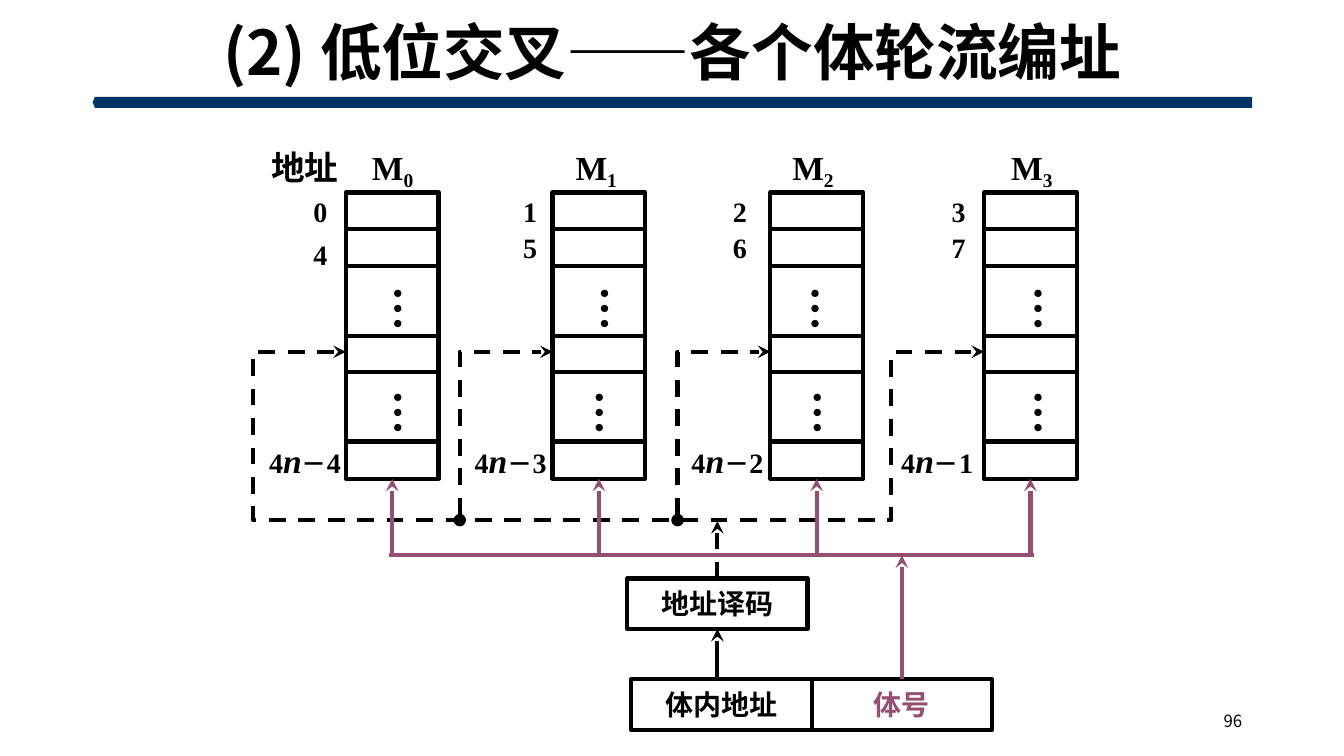
from dataclasses import dataclass

from pptx import Presentation, util as u
from pptx.dml.color import RGBColor
from pptx.enum import dml, shapes, text
from pptx.oxml.ns import qn
from pptx.oxml.xmlchemy import OxmlElement

Inches = u.Inches


@dataclass(frozen=True)
class Theme:
    ink: RGBColor = RGBColor.from_string("000000")
    rule: RGBColor = RGBColor.from_string("003366")
    accent: RGBColor = RGBColor.from_string("954F72")
    serif: str = "Times New Roman"
    sans: str = "Noto Sans CJK SC"
    title: int = 44
    dots: int = 32
    heading: int = 24
    label: int = 20
    minus: int = 18
    number: int = 12
    line: int = 3


@dataclass(frozen=True)
class Bank:
    """One memory module: its left edge and where its labels start from it."""
    number: int
    left: float
    name: float
    address: float
    last: float
    second_row: float
    dots: tuple


THEME = Theme()
BANKS = (
    Bank(0, 3.43, 0.16, -0.42, -0.86, 0.40, (0.25, 0.25)),
    Bank(1, 5.48, 0.13, -0.39, -0.87, 0.33, (0.25, 0.20)),
    Bank(2, 7.64, 0.12, -0.47, -0.88, 0.33, (0.18, 0.20)),
    Bank(3, 9.76, 0.17, -0.42, -0.92, 0.33, (0.27, 0.27)),
)
BANK_TOP, BANK_WIDTH = 1.91, 0.92
ROW_EDGES = (0, 0.36, 0.73, 1.42, 1.78, 2.47, 2.84)
SELECT_Y, SELECT_BUS_Y, BANK_BUS_Y = 3.49, 5.16, 5.51


def style_run(span, size, font=THEME.serif, color=THEME.ink, bold=True):
    span.font.size, span.font.bold = u.Pt(size), bold
    span.font.name, span.font.color.rgb = font, color
    east_asian = OxmlElement("a:ea")
    east_asian.set("typeface", THEME.sans)
    span._r.get_or_add_rPr().find(qn("a:latin")).addnext(east_asian)


def add_label(page, box, words, size, wrap=False, **look):
    """Add a text box; words is a string or a list of (string, size) runs."""
    label = page.shapes.add_textbox(*map(Inches, box))
    label.text_frame.word_wrap = wrap
    para = label.text_frame.paragraphs[0]
    for words_part, part_size in [(words, size)] if isinstance(words, str) else words:
        span = para.add_run()
        span.text = words_part
        style_run(span, part_size, **look)
    return label


def style_line(shape, color=THEME.ink, dashed=False, head=None, tail=None):
    shape.line.color.rgb, shape.line.width = color, u.Pt(THEME.line)
    if dashed:
        shape.line.dash_style = dml.MSO_LINE.DASH
    for tag, kind in (("a:headEnd", head), ("a:tailEnd", tail)):
        if kind:
            end = OxmlElement(tag)
            end.set("type", kind)
            shape.line._get_or_add_ln().append(end)


def add_line(page, start, end, **look):
    line = page.shapes.add_connector(shapes.MSO_CONNECTOR.STRAIGHT,
                                     *map(Inches, start + end))
    style_line(line, **look)
    line._element.spPr.append(OxmlElement("a:effectLst"))
    return line


def add_box(page, box, words="", color=THEME.ink):
    cell = page.shapes.add_shape(shapes.MSO_SHAPE.RECTANGLE, *map(Inches, box))
    cell.shadow.inherit = False
    cell.fill.background()
    style_line(cell)
    if words:
        cell.text_frame.text = words
        para = cell.text_frame.paragraphs[0]
        para.alignment = text.PP_ALIGN.CENTER
        style_run(para.runs[0], THEME.label, color=color)
    return cell


def add_path(page, points, head):
    """Draw an open dashed path that ends in an arrowhead."""
    corners = [(Inches(x), Inches(y)) for x, y in points]
    builder = page.shapes.build_freeform(*corners[0], scale=1.0)
    builder.add_line_segments(corners[1:], close=False)
    route = builder.convert_to_shape()
    route.shadow.inherit = False
    route.fill.background()
    style_line(route, dashed=True, head=head, tail="stealth")


def draw_header(page, box):
    left, top, width, height = box
    bar = page.shapes.add_shape(shapes.MSO_SHAPE.PENTAGON,
                                *map(Inches, (left, top + height, width, 0.11)))
    bar.adjustments[0] = 0.2
    bar._element.spPr.find(qn("a:xfrm")).set("flipH", "1")
    bar.shadow.inherit = False
    bar.fill.solid()
    bar.fill.fore_color.rgb = THEME.rule
    bar.line.fill.background()
    title = add_label(page, box, "(2) 低位交叉——各个体轮流编址", THEME.title,
                      wrap=True, font=THEME.sans)
    title.text_frame.vertical_anchor = text.MSO_ANCHOR.MIDDLE
    para = title.text_frame.paragraphs[0]
    para.alignment, para.line_spacing = text.PP_ALIGN.CENTER, 0.9


def draw_page_number(page, box):
    number = add_label(page, box, "96", THEME.number, wrap=True,
                       font=THEME.sans, bold=False)
    number.text_frame.vertical_anchor = text.MSO_ANCHOR.MIDDLE
    number.text_frame.paragraphs[0].alignment = text.PP_ALIGN.RIGHT


def draw_bank(page, bank, top):
    """Draw one module with its labels and return its bottom cell."""
    left = bank.left
    for upper, lower in zip(ROW_EDGES, ROW_EDGES[1:]):
        cell = add_box(page, (left, top + upper, BANK_WIDTH, lower - upper))
    name = add_label(page, (left + bank.name, top - 0.5, 0.63, 0.5),
                     [("M", THEME.heading), (str(bank.number), THEME.heading)],
                     THEME.heading)
    name.text_frame.paragraphs[0].runs[1].font._element.set("baseline", "-20000")
    for row, offset in enumerate((-0.03, bank.second_row)):
        add_label(page, (left + bank.address, top + offset, 0.34, 0.43),
                  str(bank.number + row * len(BANKS)), THEME.label)
    for offset, drop in zip(bank.dots, (0.83, 1.87)):
        dots = add_label(page, (left + offset, top + drop, 0.73, 0.55), "…", THEME.dots)
        dots.text_frame._txBody.bodyPr.set("vert", "eaVert")
    last = add_label(page, (left + bank.last, top + 2.41, 0.92, 0.5),
                     [("4", THEME.label), ("n", THEME.heading), ("－", THEME.minus),
                      (str(len(BANKS) - bank.number), THEME.label)],
                     THEME.label, wrap=True)
    last.text_frame.paragraphs[0].runs[1].font.italic = True
    return cell


def draw_select_lines(page):
    """Draw the dashed paths that select the same row in every module."""
    first, *middle, final = BANKS
    near, far = first.left - 0.92, final.left - 0.92
    add_path(page, [(first.left, SELECT_Y), (near, SELECT_Y), (near, SELECT_BUS_Y),
                    (far, SELECT_BUS_Y), (far, SELECT_Y), (final.left, SELECT_Y)],
             head="stealth")
    for bank in middle:
        branch = bank.left - 0.92
        add_path(page, [(branch, SELECT_BUS_Y), (branch, SELECT_Y),
                        (bank.left, SELECT_Y)], head="oval")


def draw_address_register(page, box):
    """Draw the two address fields, the decoder and the arrows above them."""
    left, top, width, height = box
    half = width / 2
    add_box(page, (left, top, half, height), "体内地址")
    bank_field = add_box(page, (left + half, top, half, height), "体号", THEME.accent)
    decoder_left, decoder_top = left - 0.04, top - 1
    decoder = add_box(page, (decoder_left, decoder_top, half, height), "地址译码")
    middle = decoder_left + half / 2
    add_line(page, (middle, top), (middle, decoder_top + height),
             tail="stealth").end_connect(decoder, 2)
    add_line(page, (middle, decoder_top), (middle, SELECT_BUS_Y + 0.01),
             dashed=True, tail="stealth").begin_connect(decoder, 0)
    bank_x = left + 1.5 * half
    add_line(page, (bank_x, top), (bank_x, BANK_BUS_Y), color=THEME.accent,
             tail="stealth").begin_connect(bank_field, 0)


def draw_bank_bus(page, bottom_cells):
    for bank, cell in zip(BANKS, bottom_cells):
        middle = bank.left + BANK_WIDTH / 2
        add_line(page, (middle, BANK_BUS_Y), (middle, BANK_TOP + ROW_EDGES[-1]),
                 color=THEME.accent, tail="stealth").end_connect(cell, 2)
    add_line(page, (3.86, BANK_BUS_Y), (10.26, BANK_BUS_Y), color=THEME.accent)


def main():
    deck = Presentation()
    deck.slide_width, deck.slide_height = Inches(13.33), Inches(7.5)
    page = deck.slides.add_slide(deck.slide_layouts[6])
    draw_header(page, (0.92, 0.14, 11.5, 0.82))
    draw_page_number(page, (9.42, 6.95, 3, 0.4))
    add_label(page, (2.59, 1.41, 0.87, 0.5), "地址", THEME.heading)
    bottom_cells = [draw_bank(page, bank, BANK_TOP) for bank in BANKS]
    draw_select_lines(page)
    draw_address_register(page, (6.26, 6.74, 3.58, 0.5))
    draw_bank_bus(page, bottom_cells)
    deck.save("out.pptx")


if __name__ == "__main__":
    main()
